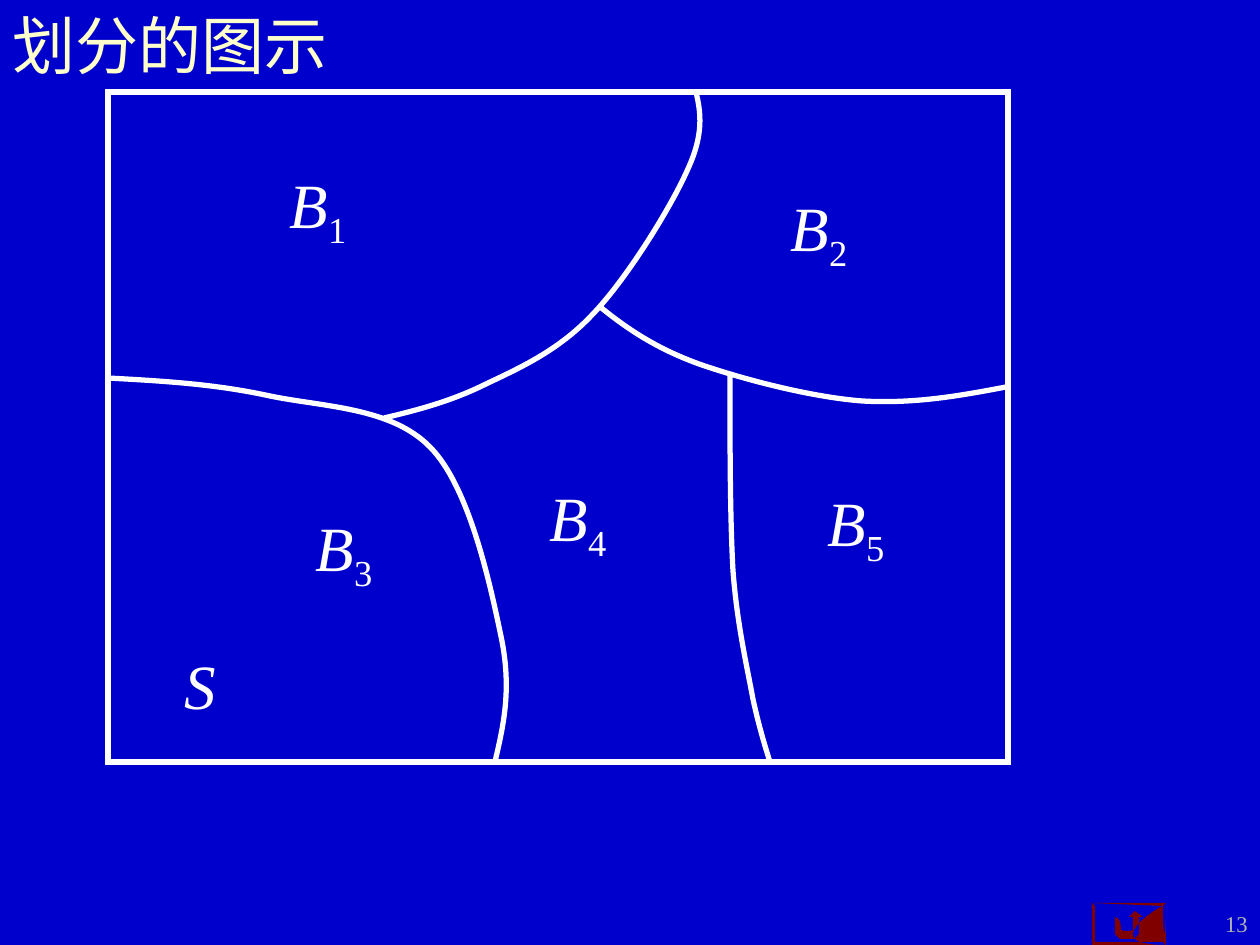
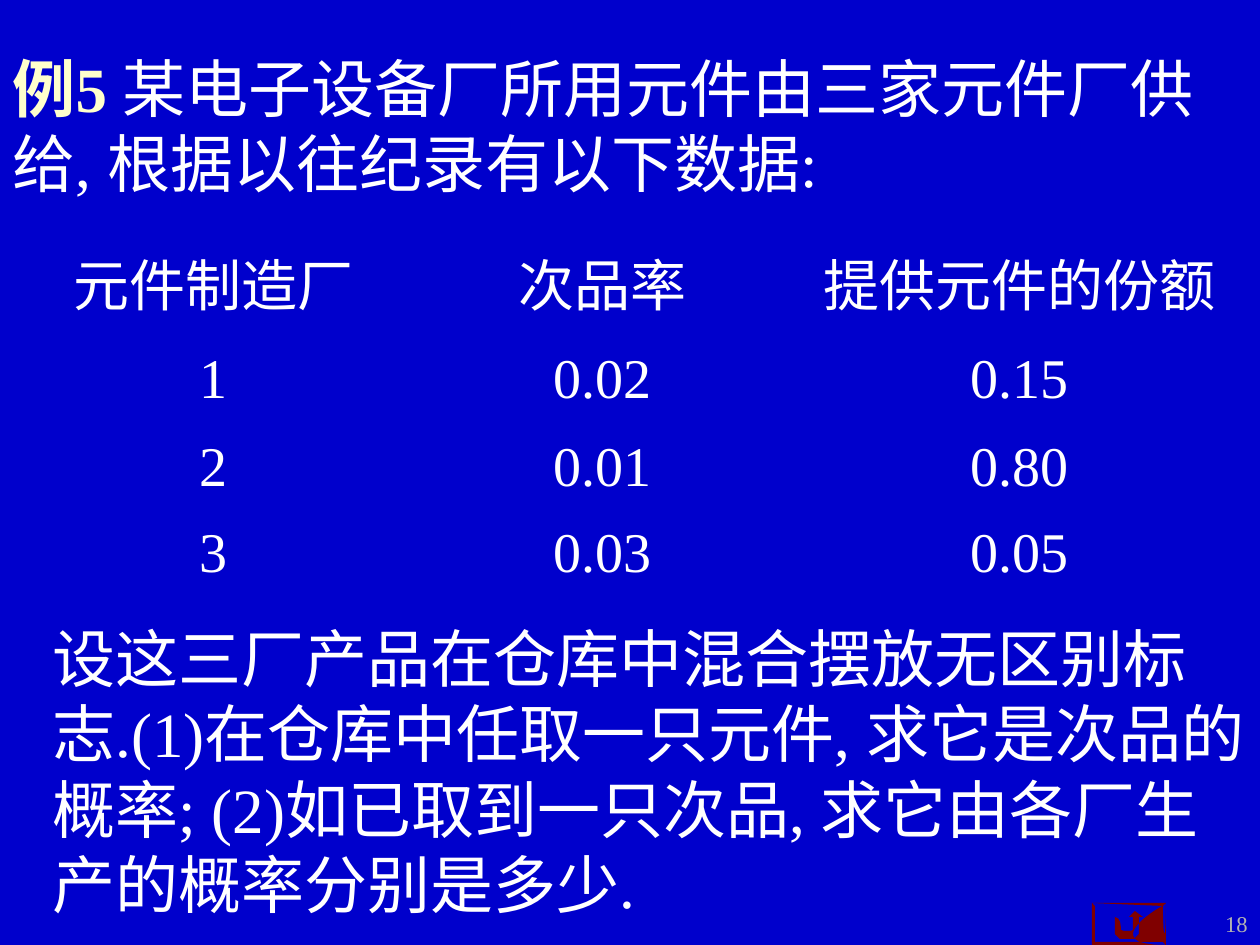
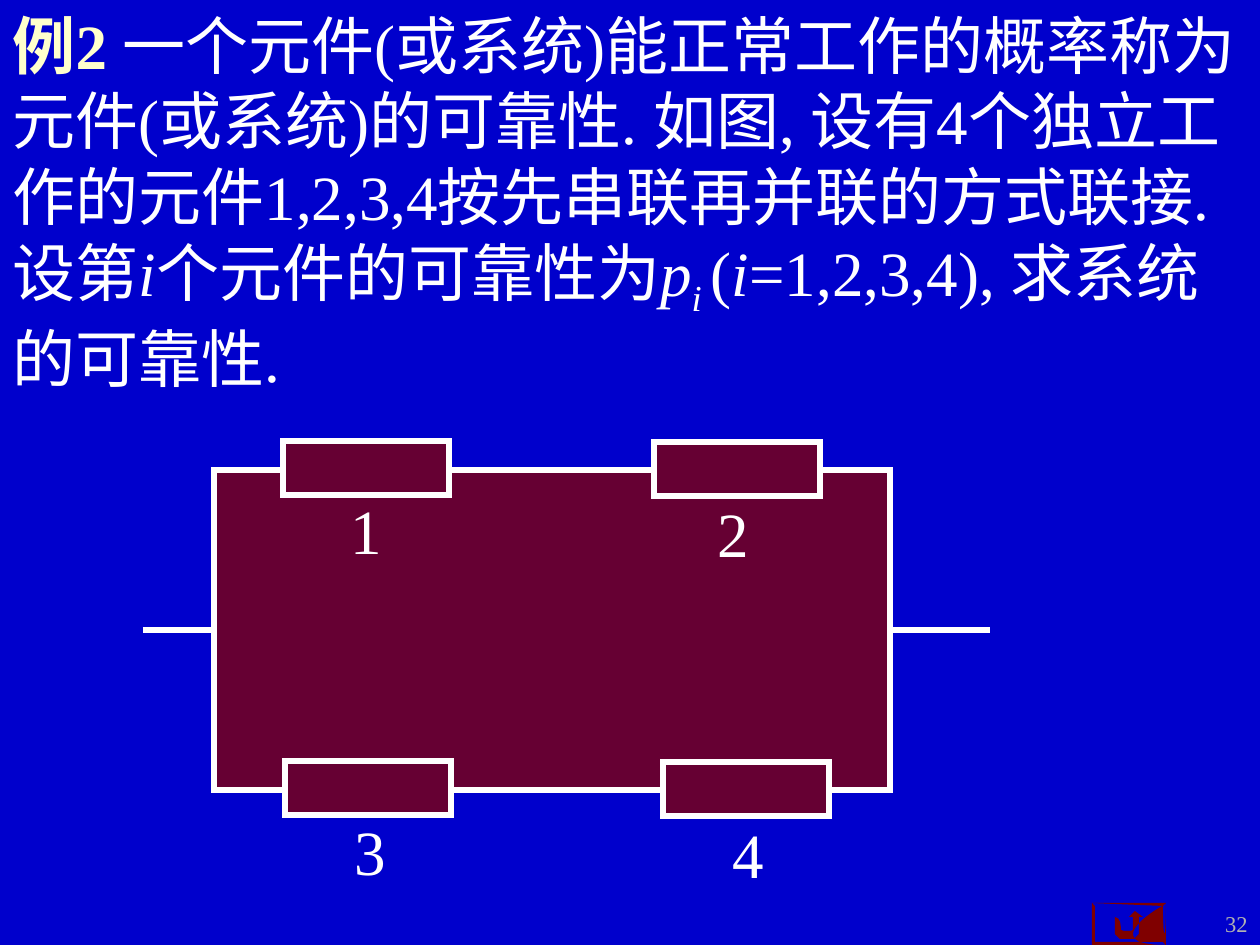
from lxml.etree import SubElement
from pptx import Presentation
from pptx.dml.color import RGBColor
from pptx.enum.shapes import MSO_CONNECTOR, MSO_SHAPE
from pptx.enum.text import MSO_ANCHOR, MSO_AUTO_SIZE, PP_ALIGN
from pptx.oxml.ns import qn
from pptx.util import Emu, Pt

PX = 914400 / 126
FONT = "Times New Roman"
BLUE = RGBColor(0x00, 0x00, 0xCC)
WHITE = RGBColor(0xFF, 0xFF, 0xFF)
CREAM = RGBColor(0xFF, 0xFF, 0xCC)
GREY = RGBColor(0xB2, 0xB2, 0xB2)
RED = RGBColor(0x80, 0x00, 0x00)
WINE = RGBColor(0x66, 0x00, 0x33)
LINE_WIDTH = Pt(3)
NO_TABLE_STYLE = "{2D5ABB26-0587-4C30-8999-92F81FD0307C}"


def px(*lengths):
    return [Emu(round(length * PX)) for length in lengths]


def write(frame, spans, size=36, align=PP_ALIGN.LEFT, color=WHITE):
    paragraph = frame.paragraphs[0]
    paragraph.alignment = align
    for text, style in spans:
        span = paragraph.add_run()
        span.text = text
        span.font.name = FONT
        span.font.size = Pt(size)
        span.font.bold = "bold" in style
        span.font.italic = "italic" in style
        span.font.color.rgb = CREAM if "cream" in style else color
        if "sub" in style:
            span.font._element.set("baseline", "-25000")


deck = Presentation()
deck.slide_width, deck.slide_height = px(1260, 945)
background = deck.slide_master.background.fill
background.solid()
background.fore_color.rgb = BLUE

titles = [
    ("13", 0, 94, [("划分的图示", "cream")]),
    ("18", 43, 94, [
        ("例5 ", "bold cream"),
        ("某电子设备厂所用元件由三家元件厂供给, 根据以往纪录有以下数据:", ""),
    ]),
    ("32", 0, 384, [
        ("例2 ", "bold cream"),
        ("一个元件(或系统)能正常工作的概率称为元件(或系统)的可靠性. 如图, 设有4个独立工作的元件1,2,3,4按先串联再并联的方式联接. 设第", ""),
        ("i", "italic"),
        ("个元件的可靠性为", ""),
        ("p", "italic"),
        ("i ", "italic sub"),
        ("(", ""),
        ("i", "italic"),
        ("=1,2,3,4), 求系统的可靠性.", ""),
    ]),
]
pages = []
for number, top, height, spans in titles:
    page = deck.slides.add_slide(deck.slide_layouts[5])
    pages.append(page)
    title = page.shapes.title
    title.left, title.top, title.width, title.height = px(0, top, 1260, height)
    title.text_frame.vertical_anchor = MSO_ANCHOR.TOP
    title.text_frame.auto_size = MSO_AUTO_SIZE.NONE
    write(title.text_frame, spans)

    number_box = page.shapes.add_textbox(*px(1176, 904, 84, 41))
    number_box.text_frame.word_wrap = True
    write(number_box.text_frame, [(number, "")], 12.9, PP_ALIGN.RIGHT, GREY)

partition_page, factory_page, circuit_page = pages

outer = [(1092, 903), (1166, 903), (1166, 945), (1092, 945)]
inner = [(1095, 906), (1163, 906), (1163, 942), (1095, 942)]
return_arrow = [
    (1115, 917), (1121, 917), (1121, 927), (1121, 930), (1124, 931), (1125, 931),
    (1129, 931), (1130, 931), (1133, 930), (1133, 927), (1133, 917), (1129, 917),
    (1135, 911), (1143, 917), (1139, 917), (1139, 927), (1139, 934), (1134, 939),
    (1129, 939), (1125, 939), (1120, 939), (1115, 934), (1115, 927),
]
faces = [outer]
for side in range(4):
    after = (side + 1) % 4
    faces.append([outer[side], outer[after], inner[after], inner[side]])
faces.append(return_arrow)
shades = ["norm", "lightenLess", "darken", "darkenLess", "lighten", "darken"]

borders = [
    [(495, 762), (504, 724), (512, 688), (501, 636), (490, 583), (469, 486), (430, 447),
     (391, 407), (323, 407), (270, 396), (215, 384), (163, 381), (108, 378)],
    [(384, 418), (418, 410), (452, 401), (486, 384), (522, 367), (559, 350), (592, 315),
     (626, 280), (670, 209), (687, 171), (704, 135), (701, 113), (696, 92)],
    [(599, 306), (626, 328), (655, 348), (699, 364), (742, 379), (810, 397), (862, 401),
     (914, 404), (959, 396), (1006, 387)],
    [(730, 372), (730, 444), (730, 515), (733, 570), (737, 624), (747, 666), (753, 699),
     (760, 731), (767, 752), (770, 762)],
]

rectangles = [(partition_page, 108, 92, 900, 670), (circuit_page, 214, 470, 676, 320)]
for left, top in [(283, 441), (654, 442), (285, 761), (663, 762)]:
    rectangles.append((circuit_page, left, top, 166, 54))

wire = circuit_page.shapes.add_connector(MSO_CONNECTOR.STRAIGHT, *px(143, 630, 990, 630))
wire.line.color.rgb = WHITE
wire.line.width = LINE_WIDTH
SubElement(wire._element.spPr, qn("a:effectLst"))

for page, *place in rectangles:
    part = page.shapes.add_shape(MSO_SHAPE.RECTANGLE, *px(*place))
    part.shadow.inherit = False
    if page is circuit_page:
        part.fill.solid()
        part.fill.fore_color.rgb = WINE
    else:
        part.fill.background()
    part.line.color.rgb = WHITE
    part.line.width = LINE_WIDTH
    SubElement(part.line._get_or_add_ln(), qn("a:miter"), lim="800000")

outlines = [([border], range(0, len(border) - 1, 3)) for border in borders]
outlines.append((faces, [2, 6, 15, 19]))
for contours, curve_starts in outlines:
    is_button = contours is faces
    builder = partition_page.shapes.build_freeform(*px(*contours[0][0]))
    for index, contour in enumerate(contours):
        if index:
            builder.move_to(*px(*contour[0]))
        builder.add_line_segments([px(*point) for point in contour[1:]], close=is_button)
    outline = builder.convert_to_shape()
    outline.shadow.inherit = False

    whole = next(outline._element.iter(qn("a:path")))
    paths = [whole]
    for node in list(whole):
        if node.tag == qn("a:moveTo") and node is not whole[0]:
            paths.append(SubElement(whole.getparent(), qn("a:path"), w=whole.get("w"), h=whole.get("h")))
        paths[-1].append(node)
    segments = paths[-1].findall(qn("a:lnTo"))
    for start in curve_starts:
        curve = SubElement(paths[-1], qn("a:cubicBezTo"))
        segments[start].addprevious(curve)
        for segment in segments[start:start + 3]:
            curve.append(segment[0])
            paths[-1].remove(segment)

    if is_button:
        for path, shade in zip(paths, shades):
            path.set("fill", shade)
        outline.fill.solid()
        outline.fill.fore_color.rgb = RED
        outline.line.fill.background()
        deck.slide_master.shapes._spTree.append(outline._element)
    else:
        outline.fill.background()
        outline.line.color.rgb = WHITE
        outline.line.width = LINE_WIDTH

labels = [
    (partition_page, 277, 159, "B", "1"),
    (partition_page, 778, 182, "B", "2"),
    (partition_page, 303, 502, "B", "3"),
    (partition_page, 172, 640, "S", ""),
    (partition_page, 537, 472, "B", "4"),
    (partition_page, 815, 477, "B", "5"),
    (circuit_page, 338, 485, "", "1"),
    (circuit_page, 705, 488, "", "2"),
    (circuit_page, 342, 806, "", "3"),
    (circuit_page, 720, 809, "", "4"),
]
for page, left, top, letter, number in labels:
    if letter and number:
        size, spans = (82, 100), [(letter, "italic"), (number, "sub")]
    else:
        size, spans = (57, 88), [(letter or number, "italic" if letter else "")]
    label = page.shapes.add_textbox(*px(left, top, *size))
    label.text_frame.word_wrap = False
    label.text_frame.auto_size = MSO_AUTO_SIZE.SHAPE_TO_FIT_TEXT
    write(label.text_frame, spans, align=PP_ALIGN.CENTER)

factories = [
    ("元件制造厂", "次品率", "提供元件的份额"),
    ("1", "0.02", "0.15"),
    ("2", "0.01", "0.80"),
    ("3", "0.03", "0.05"),
]
table = factory_page.shapes.add_table(4, 3, *px(0, 241, 1260, 348)).table
table.first_row = False
table.horz_banding = False
table._tbl.tblPr.find(qn("a:tableStyleId")).text = NO_TABLE_STYLE
for column, width in zip(table.columns, px(427, 352, 481)):
    column.width = width
for row, height, values in zip(table.rows, px(86, 89, 87, 86), factories):
    row.height = height
    for cell, value in zip(row.cells, values):
        cell.fill.background()
        cell.vertical_anchor = MSO_ANCHOR.MIDDLE
        cell.margin_top, cell.margin_bottom = px(0, 4) if values is factories[0] else px(16, 0)
        write(cell.text_frame, [(value, "")], 32, PP_ALIGN.CENTER)

question = factory_page.shapes.add_textbox(*px(40, 613, 1220, 332))
question.text_frame.word_wrap = True
write(question.text_frame, [(
    "设这三厂产品在仓库中混合摆放无区别标志.(1)在仓库中任取一只元件, 求它是次品的概率; "
    "(2)如已取到一只次品, 求它由各厂生产的概率分别是多少.", "")])

deck.save("out.pptx")
